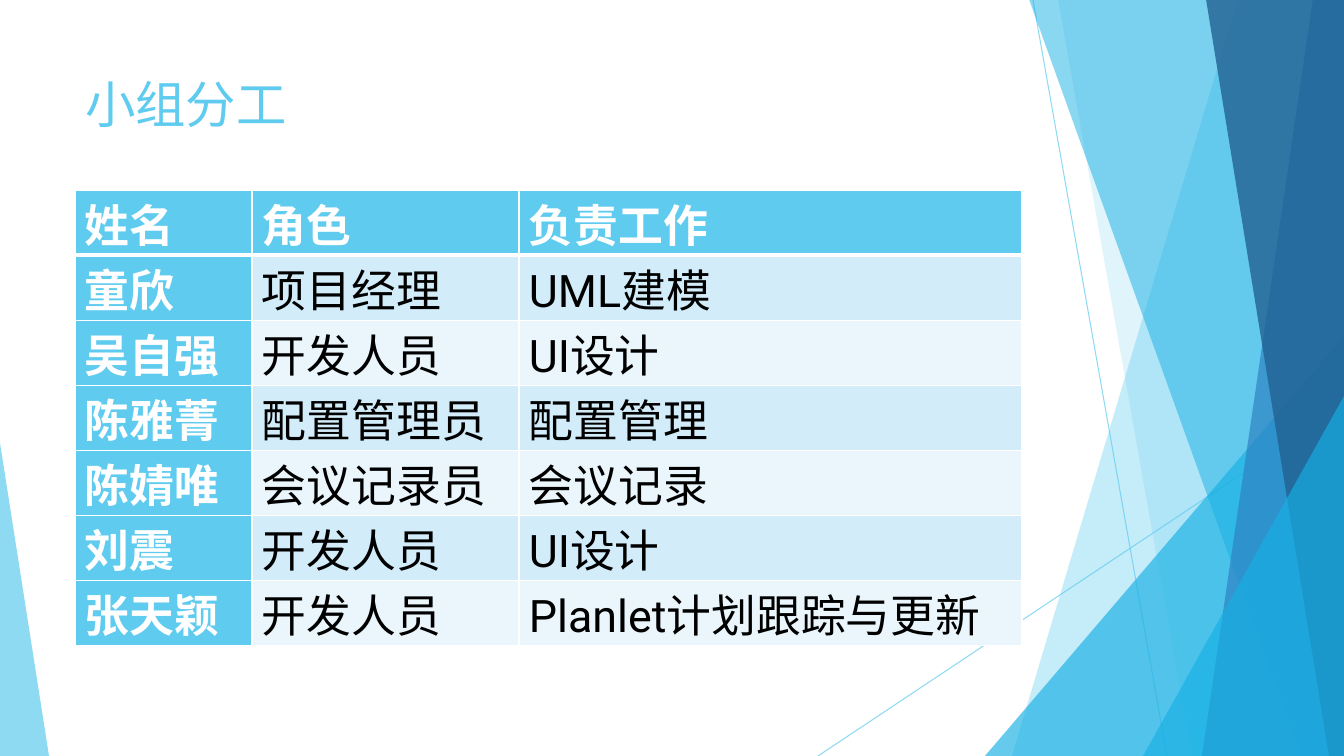
from dataclasses import dataclass

from lxml import etree
from pptx import Presentation
from pptx.dml.color import RGBColor
from pptx.enum.lang import MSO_LANGUAGE_ID
from pptx.enum.shapes import MSO_CONNECTOR, MSO_SHAPE
from pptx.enum.text import MSO_ANCHOR, PP_ALIGN
from pptx.oxml.ns import qn
from pptx.util import Pt

CHINESE = MSO_LANGUAGE_ID.SIMPLIFIED_CHINESE
STRAIGHT = MSO_CONNECTOR.STRAIGHT
TRIANGLE = MSO_SHAPE.ISOSCELES_TRIANGLE
TOP = MSO_ANCHOR.TOP
LEFT, JUSTIFY = PP_ALIGN.LEFT, PP_ALIGN.JUSTIFY

PAGE_WIDTH, PAGE_HEIGHT = 1344, 756
EMU_PER_PIXEL = 12192000 / PAGE_WIDTH
TITLE_ONLY = 5


@dataclass(frozen=True)
class Theme:
    font: str = "Roboto"
    title_size: int = 36
    table_size: int = 32
    sky: str = "5FCBEF"
    cyan: str = "17B0E4"
    blue: str = "2E83C3"
    navy: str = "226292"
    dark_band: str = "D2ECF9"
    light_band: str = "EAF6FC"
    white: str = "FFFFFF"
    black: str = "000000"


@dataclass(frozen=True)
class Ray:
    start: tuple[int, int]
    end: tuple[int, int]


@dataclass(frozen=True)
class Facet:
    """A band from a slanted left edge to the right side of the page."""
    top_x: int
    bottom_x: int
    color: str
    opacity: int


@dataclass(frozen=True)
class Corner:
    """A right-angled triangle standing on the bottom of the page."""
    left: int
    top: int
    width: int
    apex: int
    color: str
    opacity: int


THEME = Theme()

RAYS = [Ray((1033, 0), (1167, 756)), Ray((1344, 406), (818, 756))]
DECORATION = [
    Facet(1238, 1012, THEME.sky, 36),
    Facet(1058, 1192, THEME.sky, 20),
    Corner(985, 336, 359, 1, THEME.cyan, 66),
    Facet(1029, 1301, THEME.cyan, 50),
    Facet(1313, 1202, THEME.blue, 70),
    Facet(1206, 1329, THEME.navy, 80),
    Corner(1143, 396, 201, 1, THEME.cyan, 66),
    Corner(0, 443, 49, 0, THEME.sky, 70),
]

TABLE_LEFT, TABLE_TOP, ROW_HEIGHT = 75, 190, 59
COLUMN_WIDTHS = [177, 267, 503]
TEAM = [
    ("姓名", "角色", "负责工作"),
    ("童欣", "项目经理", "UML建模"),
    ("吴自强", "开发人员", "UI设计"),
    ("陈雅菁", "配置管理员", "配置管理"),
    ("陈婧唯", "会议记录员", "会议记录"),
    ("刘震", "开发人员", "UI设计"),
    ("张天颖", "开发人员", "Planlet计划跟踪与更新"),
]


def px(pixels: int) -> int:
    return round(pixels * EMU_PER_PIXEL)


def apply_format(target, values: dict) -> None:
    for name, value in values.items():
        setattr(target, name, value)


def set_opacity(element, percent: int) -> None:
    for color in element.iter(qn("a:srgbClr")):
        etree.SubElement(color, qn("a:alpha"), val=str(percent * 1000))


def write_text(frame, text: str, size: int, color: str, bold: bool, align) -> None:
    para = frame.paragraphs[0]
    para.alignment = align
    span = para.add_run()
    span.text = text
    apply_format(span.font, {"name": THEME.font, "size": Pt(size), "bold": bold,
                             "language_id": CHINESE})
    span.font.color.rgb = RGBColor.from_string(color)


def draw_ray(page, ray: Ray) -> None:
    line = page.shapes.add_connector(STRAIGHT, *map(px, ray.start + ray.end))
    line.line.color.rgb = RGBColor.from_string(THEME.sky)
    line.line.width = Pt(0.75)
    set_opacity(line.element, 70)
    etree.SubElement(line.element.spPr, qn("a:effectLst"))


def draw_decoration(page, part: Facet | Corner) -> None:
    if isinstance(part, Facet):
        builder = page.shapes.build_freeform(part.top_x, -1, scale=EMU_PER_PIXEL)
        builder.add_line_segments([(PAGE_WIDTH, -1), (PAGE_WIDTH, PAGE_HEIGHT),
                                   (part.bottom_x, PAGE_HEIGHT)], close=True)
        shape = builder.convert_to_shape()
    else:
        shape = page.shapes.add_shape(TRIANGLE, px(part.left), px(part.top),
                                      px(part.width), px(PAGE_HEIGHT - part.top))
        shape.adjustments[0] = part.apex
    shape.shadow.inherit = False
    shape.fill.solid()
    shape.fill.fore_color.rgb = RGBColor.from_string(part.color)
    set_opacity(shape.element, part.opacity)
    shape.line.fill.background()


def draw_title(page, text: str) -> None:
    title = page.shapes.title
    apply_format(title, {"left": px(75), "top": px(68),
                         "width": px(947), "height": px(145)})
    apply_format(title.text_frame, {"vertical_anchor": TOP, "word_wrap": True})
    write_text(title.text_frame, text, THEME.title_size, THEME.sky, False, LEFT)
    # Bring the title in front of the decoration
    title.element.getparent().append(title.element)


def add_borders(cell, bottom_width: int) -> None:
    properties = cell._tc.get_or_add_tcPr()
    for side, width in {"L": 1, "R": 1, "T": 1, "B": bottom_width}.items():
        line = etree.SubElement(properties, qn(f"a:ln{side}"), w=str(Pt(width)))
        fill = etree.SubElement(line, qn("a:solidFill"))
        etree.SubElement(fill, qn("a:srgbClr"), val=THEME.white)


def draw_table(page) -> None:
    table = page.shapes.add_table(
        len(TEAM), len(COLUMN_WIDTHS), px(TABLE_LEFT), px(TABLE_TOP),
        px(sum(COLUMN_WIDTHS)), px(ROW_HEIGHT * len(TEAM))).table
    table.first_col = True
    for column, width in zip(table.columns, COLUMN_WIDTHS):
        column.width = px(width)
    for row_index, row in enumerate(TEAM):
        table.rows[row_index].height = px(ROW_HEIGHT)
        band = THEME.dark_band if row_index % 2 else THEME.light_band
        for column_index, text in enumerate(row):
            heading = row_index == 0 or column_index == 0
            cell = table.cell(row_index, column_index)
            apply_format(cell, {"margin_left": px(10), "margin_right": px(10),
                                "margin_top": 0, "margin_bottom": 0,
                                "vertical_anchor": TOP})
            add_borders(cell, 3 if row_index == 0 else 1)
            cell.fill.solid()
            cell.fill.fore_color.rgb = RGBColor.from_string(
                THEME.sky if heading else band)
            write_text(cell.text_frame, text, THEME.table_size,
                       THEME.white if heading else THEME.black, heading, JUSTIFY)


# Page
deck = Presentation()
deck.slide_width, deck.slide_height = px(PAGE_WIDTH), px(PAGE_HEIGHT)
page = deck.slides.add_slide(deck.slide_layouts[TITLE_ONLY])

# Decoration behind the content
for ray in RAYS:
    draw_ray(page, ray)
for part in DECORATION:
    draw_decoration(page, part)

# Content
draw_title(page, "小组分工")
draw_table(page)

deck.save("out.pptx")
